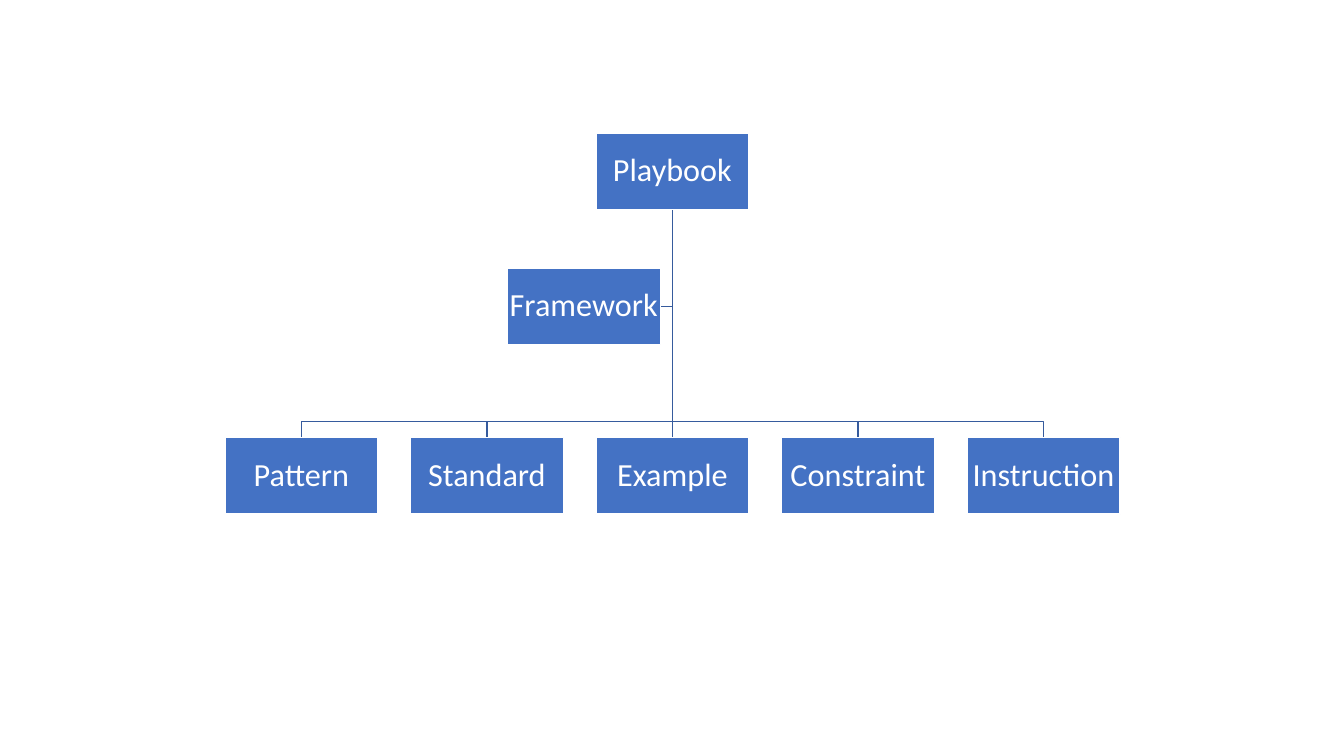
from pptx import Presentation
from pptx.dml.color import RGBColor
from pptx.enum.shapes import MSO_SHAPE
from pptx.enum.text import MSO_ANCHOR, PP_ALIGN
from pptx.util import Inches, Pt

RECTANGLE = MSO_SHAPE.RECTANGLE
MIDDLE = MSO_ANCHOR.MIDDLE
CENTER = PP_ALIGN.CENTER

COLORS = {"node": "4472C4", "branch": "365B9D", "white": "FFFFFF"}
FONT = "Calibri"
NODE_WIDTH, NODE_HEIGHT = 1.52, 0.76
ROOT = "Playbook"
ASSISTANT = "Framework"
CHILDREN = ["Pattern", "Standard", "Example", "Constraint", "Instruction"]


def color(name):
    """Return the named colour."""
    return RGBColor.from_string(COLORS[name])


def style_line(line, name):
    """Give a line its colour and the common width."""
    line.color.rgb = color(name)
    line.width = Pt(1)


def write_text(shape, text, size=23, font_color="white"):
    """Write one centred line of text into a shape."""
    frame = shape.text_frame
    frame.word_wrap = False
    frame.vertical_anchor = MIDDLE
    frame.margin_left = frame.margin_right = Inches(0.02)
    frame.margin_top = frame.margin_bottom = Inches(0.02)
    paragraph = frame.paragraphs[0]
    paragraph.alignment = CENTER
    paragraph.line_spacing = 0.9
    run = paragraph.add_run()
    run.text = text
    run.font.name = FONT
    run.font.size = Pt(size)
    run.font.color.rgb = color(font_color)


def add_node(slide, text, left, top):
    """Add one labelled box of the chart."""
    shape = slide.shapes.add_shape(RECTANGLE, Inches(left), Inches(top),
                                   Inches(NODE_WIDTH), Inches(NODE_HEIGHT))
    shape.shadow.inherit = False
    shape.fill.solid()
    shape.fill.fore_color.rgb = color("node")
    style_line(shape.line, "white")
    write_text(shape, text)


def add_branch(slide, *points, margin=0):
    """Join points with one open outline, its frame widened by a margin."""
    start, *rest = [(Inches(x), Inches(y)) for x, y in points]
    end = rest[-1]
    builder = slide.shapes.build_freeform(start[0] - Inches(margin), start[1])
    if margin:
        builder.move_to(*start)
    builder.add_line_segments(rest, close=False)
    if margin:
        builder.move_to(end[0] + Inches(margin), end[1])
    shape = builder.convert_to_shape()
    shape.shadow.inherit = False
    shape.fill.background()
    style_line(shape.line, "branch")


def add_hierarchy(slide, left, top, width, height):
    """Place the root, its assistant and the row of children in a box."""
    center = left + width / 2
    root_bottom = top + NODE_HEIGHT
    child_top = top + height - NODE_HEIGHT
    bus = child_top - 0.16
    assistant_top = top + 1.34
    assistant_right = center - 0.12
    assistant_middle = assistant_top + NODE_HEIGHT / 2
    pitch = (width - NODE_WIDTH) / (len(CHILDREN) - 1)
    child_lefts = [left + index * pitch for index in range(len(CHILDREN))]
    trunk = (center, root_bottom)

    add_branch(slide, trunk, (center, assistant_middle),
               (assistant_right, assistant_middle))
    for child_left in reversed(child_lefts):
        middle = child_left + NODE_WIDTH / 2
        if abs(middle - center) < 0.01:
            add_branch(slide, trunk, (center, child_top), margin=0.05)
        else:
            add_branch(slide, trunk, (center, bus), (middle, bus),
                       (middle, child_top))

    add_node(slide, ROOT, center - NODE_WIDTH / 2, top)
    for text, child_left in zip(CHILDREN, child_lefts):
        add_node(slide, text, child_left, child_top)
    add_node(slide, ASSISTANT, assistant_right - NODE_WIDTH, assistant_top)


def main():
    """Build and save the presentation."""
    presentation = Presentation()
    presentation.slide_width = Inches(13.33)
    presentation.slide_height = Inches(7.5)
    slide = presentation.slides.add_slide(presentation.slide_layouts[6])
    add_hierarchy(slide, left=2.23, top=1.32, width=8.88, height=3.78)
    presentation.save("out.pptx")


main()
